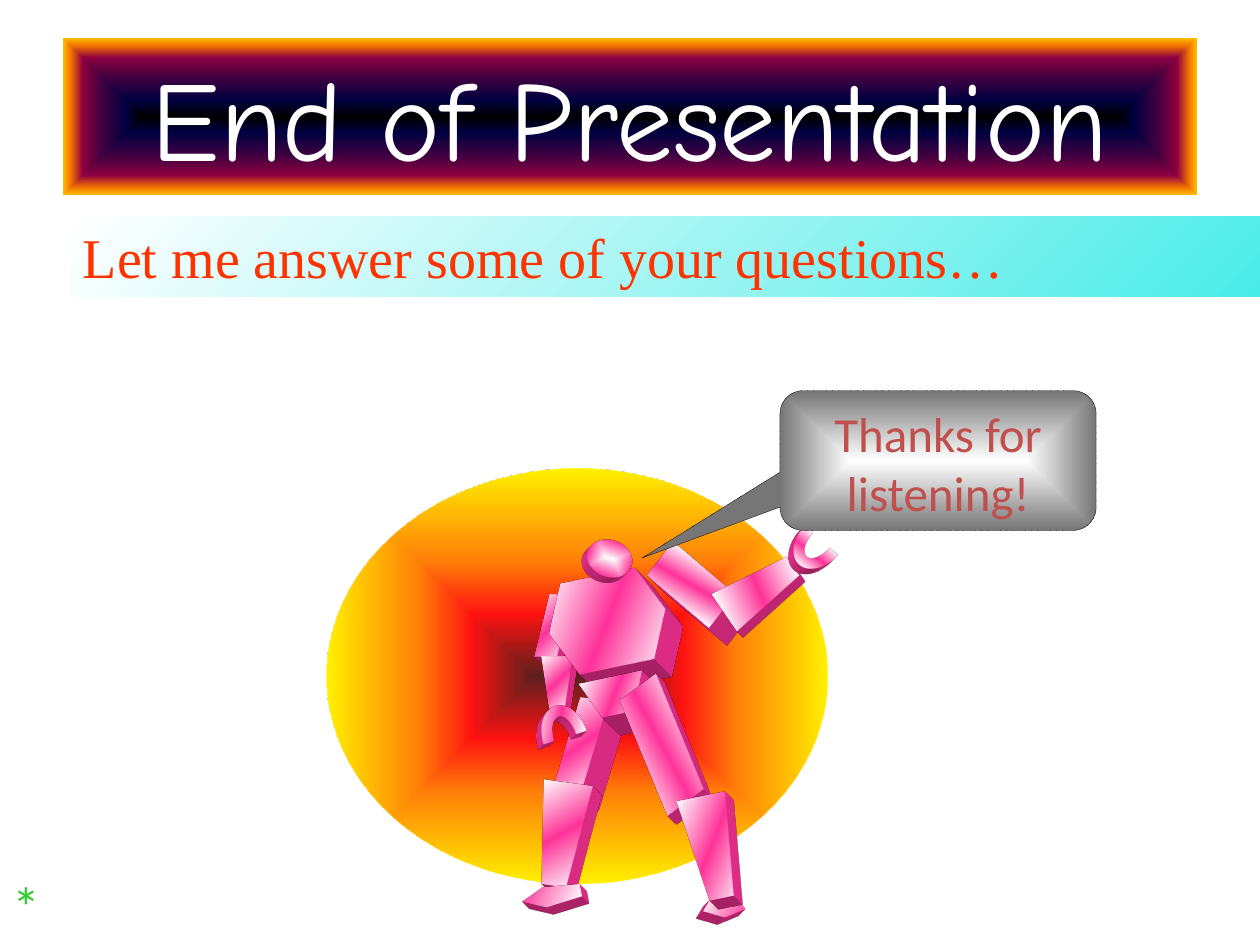
from pptx import Presentation
from pptx.dml.color import RGBColor
from pptx.enum.dml import MSO_LINE
from pptx.enum.shapes import MSO_SHAPE as Preset
from pptx.enum.text import MSO_ANCHOR as Anchor, MSO_AUTO_SIZE as AutoSize, PP_ALIGN as Align
from pptx.oxml import parse_xml
from pptx.oxml.ns import nsdecls, qn
from pptx.util import Inches, Pt

CELL = Inches(0.01)
PINK = [(0, "FFFFFF"), (50, "FF3399"), (100, "FFFFFF")]
PALE_PINK = [(0, "FFFFFF"), (100, "FF3399")]
SUNSET = [(0, "000000"), (20, "000040"), (50, "400040"),
          (75, "8F0040"), (90, "F27300"), (100, "FFBF00")]
FIRE = [(0, "4D0808", 90), (30, "FF0300", 93), (55, "FF7A00", 96), (100, "FFF200")]


def color(value):
    return RGBColor.from_string(value)


def paint(shape, stops, center=None):
    items = "".join(
        f'<a:gs pos="{pos * 1000}"><a:srgbClr val="{value}">'
        f'<a:alpha val="{alpha[0] * 1000 if alpha else 100000}"/></a:srgbClr></a:gs>'
        for pos, value, *alpha in stops)
    if center:
        way = (f'<a:path path="{center}"><a:fillToRect l="50000" t="50000" '
               'r="50000" b="50000"/></a:path>')
    else:
        way = '<a:lin ang="2700000" scaled="1"/>'
    shape.fill.solid()
    properties = shape._element.spPr
    properties.replace(properties.find(qn("a:solidFill")), parse_xml(
        f'<a:gradFill rotWithShape="1" {nsdecls("a")}><a:gsLst>{items}</a:gsLst>{way}</a:gradFill>'))
    shape.line.fill.background()
    shape.shadow.inherit = False


def extrude(shape, depth, side):
    properties = shape._element.spPr
    properties.append(parse_xml(
        f'<a:scene3d {nsdecls("a")}><a:camera prst="legacyOblique{side}"/>'
        '<a:lightRig rig="legacyFlat3" dir="b"/></a:scene3d>'))
    properties.append(parse_xml(
        f'<a:sp3d extrusionH="{depth * CELL}" prstMaterial="legacyMatte" {nsdecls("a")}>'
        '<a:extrusionClr><a:srgbClr val="FF3399"/></a:extrusionClr></a:sp3d>'))


def add_preset(page, preset, box):
    return page.shapes.add_shape(preset, *(round(part * CELL) for part in box))


def add_trapezoid(page, box):
    left, top, width, height = (part * CELL for part in box)
    builder = page.shapes.build_freeform(round(left), round(top))
    builder.add_line_segments([
        (round(left + across * width), round(top + down * height))
        for across, down in ((0.25, 1), (0.75, 1), (1, 0))])
    return builder.convert_to_shape()


def write(shape, text, font, size, value, align=Align.LEFT, anchor=Anchor.TOP):
    frame = shape.text_frame
    frame.word_wrap = True
    frame.vertical_anchor = anchor
    para = frame.paragraphs[0]
    para.text = text
    para.alignment = align
    para.font.name = font
    para.font.size = Pt(size)
    para.font.color.rgb = color(value)
    return frame


def add_title(page, box):
    banner = add_preset(page, Preset.RECTANGLE, box)
    paint(banner, SUNSET, "shape")
    write(banner, "End of Presentation", "Comic Neue", 64.8, "FFFFFF",
          Align.CENTER, Anchor.MIDDLE)


def add_question_bar(page, box):
    bar = add_preset(page, Preset.RECTANGLE, box)
    paint(bar, [(0, "FFFFFF"), (100, "4AECE8")])
    frame = write(bar, "Let me answer some of your questions…",
                  "Times New Roman", 32, "FF3300")
    frame.auto_size = AutoSize.SHAPE_TO_FIT_TEXT


def add_sun(page, box):
    paint(add_preset(page, Preset.OVAL, box), FIRE, "shape")


def add_figure(page, box):
    slanted, arc, foot = Preset.PARALLELOGRAM, Preset.BLOCK_ARC, Preset.REGULAR_PENTAGON
    right, left = "BottomRight", "BottomLeft"
    parts = [
        (slanted, (24, 72, 30, 49), 0, 0.401, 12, right),
        (None, (30, 121, 24, 41), 0, None, 12, right),
        (slanted, (42, 154, 38, 75), 5.3, 0.401, 40, right),
        (Preset.HEXAGON, (35, 56, 94, 74), 348, 0.228, 40, right),
        (Preset.OVAL, (66, 29, 36, 29), 20, None, 12, left),
        (None, (62, 137, 51, 30), 348, None, 40, right),
        (slanted, (95, 143, 60, 96), 323.4, 0.401, 20, right),
        (slanted, (130, 32, 37, 64), 307.7, 0.086, 40, right),
        (None, (184, 35, 36, 66), 235.8, None, 14, right),
        (arc, (234, 3, 35, 52), 222.2, None, 12, left),
        (arc, (31, 159, 35, 52), 342.4, None, 12, left),
        (foot, (158, 313, 33, 15), 177, None, 16, left),
        (None, (145, 231, 39, 82), 348.4, None, 20, right),
        (None, (26, 221, 39, 82), 7.9, None, 20, right),
        (foot, (30, 288, 16, 47), 259, None, 16, right),
    ]
    for preset, (across, down, width, height), angle, slant, depth, side in parts:
        place = (box[0] + across, box[1] + down, width, height)
        limb = add_preset(page, preset, place) if preset else add_trapezoid(page, place)
        limb.rotation = angle
        if slant:
            limb.adjustments[0] = slant
        paint(limb, PALE_PINK if preset in (foot, Preset.OVAL) else PINK,
              "shape" if preset == Preset.OVAL else None)
        extrude(limb, depth, side)


def add_speech(page, box):
    bubble = add_preset(page, Preset.ROUNDED_RECTANGULAR_CALLOUT, box)
    for index, value in enumerate((-0.936, 0.697, 0.167)):
        bubble.adjustments[index] = value
    paint(bubble, [(0, "FFFFFF"), (100, "767676")], "rect")
    bubble.line.color.rgb = color("000000")
    bubble.line.width = Pt(0.25)
    bubble.line.dash_style = MSO_LINE.ROUND_DOT
    write(bubble, "Thanks for listening!", "Calibri", 28, "C0504D", Align.CENTER)


def add_star(page, box):
    star = page.shapes.add_textbox(*(part * CELL for part in box))
    frame = write(star, "*", "Calibri", 32, "33CC33", Align.CENTER)
    frame.auto_size = AutoSize.SHAPE_TO_FIT_TEXT


def main():
    deck = Presentation()
    deck.slide_width, deck.slide_height = Inches(10), Inches(7.5)
    page = deck.slides.add_slide(deck.slide_layouts[6])
    add_sun(page, (259, 372, 398, 329))
    add_title(page, (50, 30, 900, 125))
    add_question_bar(page, (56, 172, 944, 63))
    add_figure(page, (400, 400, 269, 335))
    add_speech(page, (619, 310, 251, 111))
    add_star(page, (0, 687, 38, 63))
    deck.save("out.pptx")


if __name__ == "__main__":
    main()
